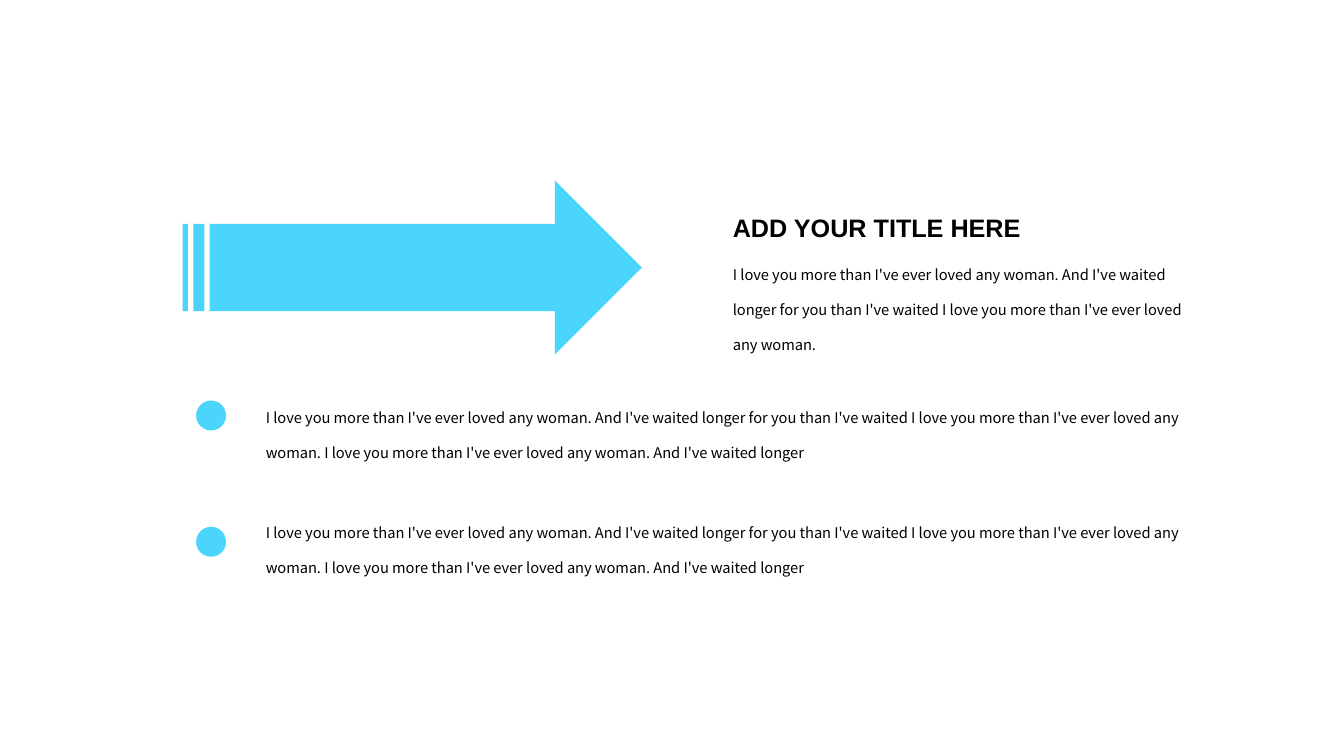
"""Build a slide with a striped arrow, a titled paragraph and two bullet points."""
from dataclasses import dataclass

from pptx import Presentation
from pptx.dml.color import RGBColor
from pptx.enum.shapes import MSO_SHAPE as Preset
from pptx.enum.text import MSO_AUTO_SIZE as AutoSize, PP_ALIGN as Align
from pptx.util import Pt


@dataclass(frozen=True)
class Theme:
    accent: RGBColor = RGBColor(0x4B, 0xD4, 0xFC)
    ink: RGBColor = RGBColor(0, 0, 0)
    title_font: str = "Arial"
    body_font: str = "Noto Sans CJK SC"
    title_size: float = 18
    body_size: float = 10.5


theme = Theme()
deck = Presentation()
deck.slide_width, deck.slide_height = Pt(960), Pt(540)
slide = deck.slides.add_slide(deck.slide_layouts[6])


def add_accent(preset, left, top, width, height):
    accent = slide.shapes.add_shape(preset, Pt(left), Pt(top), Pt(width), Pt(height))
    accent.shadow.inherit = False
    accent.fill.solid()
    accent.fill.fore_color.rgb = theme.accent
    accent.line.fill.background()
    return accent


def add_text(words, left, top, width, height, font, size, spacing, align=Align.LEFT, bold=False):
    frame = slide.shapes.add_textbox(Pt(left), Pt(top), Pt(width), Pt(height)).text_frame
    frame.word_wrap = True
    frame.auto_size = AutoSize.SHAPE_TO_FIT_TEXT
    paragraph = frame.paragraphs[0]
    paragraph.alignment = align
    paragraph.line_spacing = spacing
    run = paragraph.add_run()
    run.text = words
    run.font.name = font
    run.font.size = Pt(size)
    run.font.bold = bold
    run.font.color.rgb = theme.ink


opening = "I love you more than I've ever loved any woman. And I've waited longer"
intro = f"{opening} for you than I've waited I love you more than I've ever loved any woman."
point = f"{intro} {opening}"

add_accent(Preset.STRIPED_RIGHT_ARROW, 130.4, 128.8, 328.2, 124.6)
add_text("ADD YOUR TITLE HERE", 516.4, 137.6, 224, 36,
         theme.title_font, theme.title_size, 1.5, Align.JUSTIFY, True)
add_text(intro, 516.4, 173.6, 351.2, 79.2, theme.body_font, theme.body_size, 2)

for dot_top, point_top in ((286.6, 275.6), (376.8, 358)):
    dot = add_accent(Preset.OVAL, 140.6, dot_top, 20.4, 20.4)
    dot.line.color.rgb = theme.accent
    dot.line.width = Pt(1)
    add_text(point, 182.8, point_top, 684.8, 53.4, theme.body_font, theme.body_size, 2)

deck.save("out.pptx")
